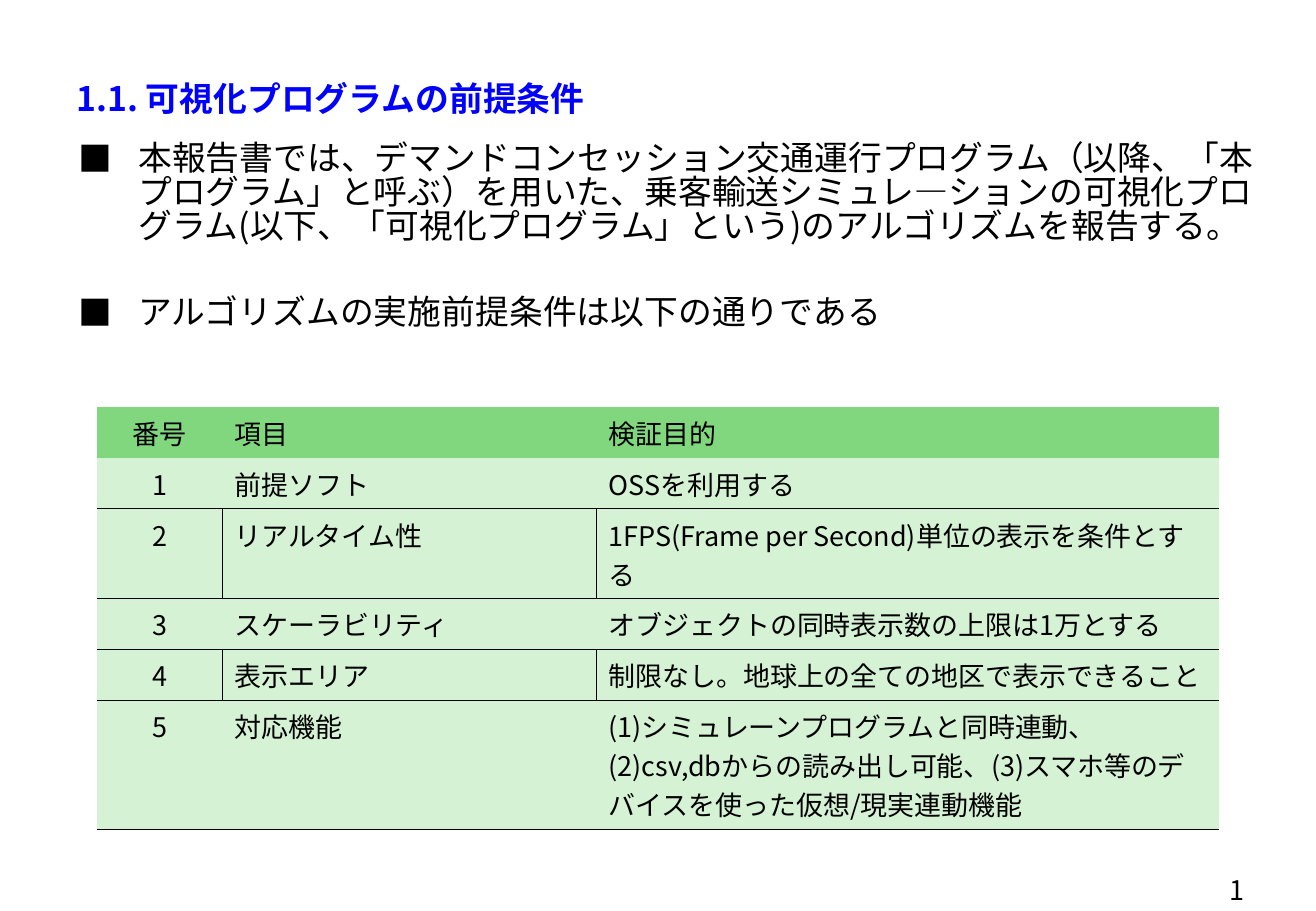
from lxml import etree
from pptx import Presentation
from pptx.dml.color import RGBColor
from pptx.enum.lang import MSO_LANGUAGE_ID
from pptx.enum.text import MSO_ANCHOR, PP_ALIGN
from pptx.oxml.ns import qn
from pptx.util import Inches, Pt

LEFT, CENTER, RIGHT = PP_ALIGN.LEFT, PP_ALIGN.CENTER, PP_ALIGN.RIGHT
TOP, MIDDLE = MSO_ANCHOR.TOP, MSO_ANCHOR.MIDDLE
JAPANESE = MSO_LANGUAGE_ID.JAPANESE

FONT = "Noto Sans CJK JP"
COLORS = {"text": "000000", "title": "0000FF", "header": "81D77E",
          "row": "D5F2D4", "border": "000000"}

TITLE = "1.1. 可視化プログラムの前提条件"
BULLETS = [
    "本報告書では、デマンドコンセッション交通運行プログラム（以降、「本プログラム」と呼ぶ）を用いた、"
    "乗客輸送シミュレ―ションの可視化プログラム(以下、「可視化プログラム」という)のアルゴリズムを報告する。",
    "アルゴリズムの実施前提条件は以下の通りである",
]
CONDITIONS = [
    ("番号", "項目", "検証目的"),
    ("1", "前提ソフト", "OSSを利用する"),
    ("2", "リアルタイム性", "1FPS(Frame per Second)単位の表示を条件とする"),
    ("3", "スケーラビリティ", "オブジェクトの同時表示数の上限は1万とする"),
    ("4", "表示エリア", "制限なし。地球上の全ての地区で表示できること"),
    ("5", "対応機能", "(1)シミュレーンプログラムと同時連動、(2)csv,dbからの読み出し可能、"
                  "(3)スマホ等のデバイスを使った仮想/現実連動機能"),
]
COLUMN_WIDTHS = [1.03, 3.08, 5.12]
ROW_HEIGHTS = [0.42, 0.42, 0.74, 0.42, 0.42, 1.06]
DIVIDED_ROWS = {2, 4}


def write_text(paragraph, text, size=16, color="text", bold=False, align=LEFT):
    paragraph.alignment = align
    run = paragraph.add_run()
    run.text = text
    font = run.font
    font.name, font.size, font.bold = FONT, Pt(size), bold
    font.color.rgb = RGBColor.from_string(COLORS[color])
    font.language_id = JAPANESE
    latin = run._r.get_or_add_rPr().find(qn("a:latin"))
    east_asian = etree.Element(qn("a:ea"), typeface=FONT)
    latin.addnext(east_asian)


def add_text_frame(slide, box, anchor=TOP):
    frame = slide.shapes.add_textbox(*map(Inches, box)).text_frame
    frame.word_wrap = True
    frame.vertical_anchor = anchor
    return frame


def add_title(slide, box):
    frame = add_text_frame(slide, box, MIDDLE)
    write_text(frame.paragraphs[0], TITLE, size=20, color="title", bold=True)


def add_bullets(slide, box):
    frame = add_text_frame(slide, box)
    for index, text in enumerate(BULLETS):
        paragraph = frame.add_paragraph() if index else frame.paragraphs[0]
        paragraph.line_spacing = 0.84
        paragraph.space_before = Pt(31 if index else 0)
        write_text(paragraph, text, size=20)
        properties = paragraph._p.get_or_add_pPr()
        properties.set("marL", str(Inches(0.49)))
        properties.set("indent", str(-Inches(0.49)))
        etree.SubElement(properties, qn("a:buFont"), typeface=FONT)
        etree.SubElement(properties, qn("a:buChar"), char="■")


def set_borders(cell, visible):
    """Draw the named sides (L, R, T, B) and clear the others."""
    properties = cell._tc.get_or_add_tcPr()
    for position, side in enumerate("LRTB"):
        line = etree.Element(qn(f"a:ln{side}"), w=str(Pt(0.75)))
        if side in visible:
            fill = etree.SubElement(line, qn("a:solidFill"))
            etree.SubElement(fill, qn("a:srgbClr"), val=COLORS["border"])
        else:
            etree.SubElement(line, qn("a:noFill"))
        properties.insert(position, line)


def visible_sides(row, column):
    sides = "B" if row > 0 else ""
    if row > 1:
        sides += "T"
    if row in DIVIDED_ROWS:
        sides += ("R", "LR", "L")[column]
    return sides


def add_conditions_table(slide, left, top):
    table = slide.shapes.add_table(
        len(CONDITIONS), len(COLUMN_WIDTHS), Inches(left), Inches(top),
        Inches(sum(COLUMN_WIDTHS)), Inches(sum(ROW_HEIGHTS))).table
    for column, width in zip(table.columns, COLUMN_WIDTHS):
        column.width = Inches(width)
    for row, height in zip(table.rows, ROW_HEIGHTS):
        row.height = Inches(height)
    for row, texts in enumerate(CONDITIONS):
        for column, text in enumerate(texts):
            cell = table.cell(row, column)
            cell.fill.solid()
            fill_name = "row" if row else "header"
            cell.fill.fore_color.rgb = RGBColor.from_string(COLORS[fill_name])
            set_borders(cell, visible_sides(row, column))
            write_text(cell.text_frame.paragraphs[0], text,
                       align=LEFT if column else CENTER)


def add_page_number(slide, box):
    frame = add_text_frame(slide, box)
    write_text(frame.paragraphs[0], "1", align=RIGHT)


def main():
    presentation = Presentation()
    presentation.slide_width = Inches(10.83)
    presentation.slide_height = Inches(7.5)
    slide = presentation.slides.add_slide(presentation.slide_layouts[6])
    add_title(slide, (0.53, 0.52, 8.55, 0.58))
    add_bullets(slide, (0.55, 1.13, 9.9, 1.5))
    add_conditions_table(slide, 0.8, 3.35)
    add_page_number(slide, (8.74, 7.14, 1.6, 0.36))
    presentation.save("out.pptx")


if __name__ == "__main__":
    main()
